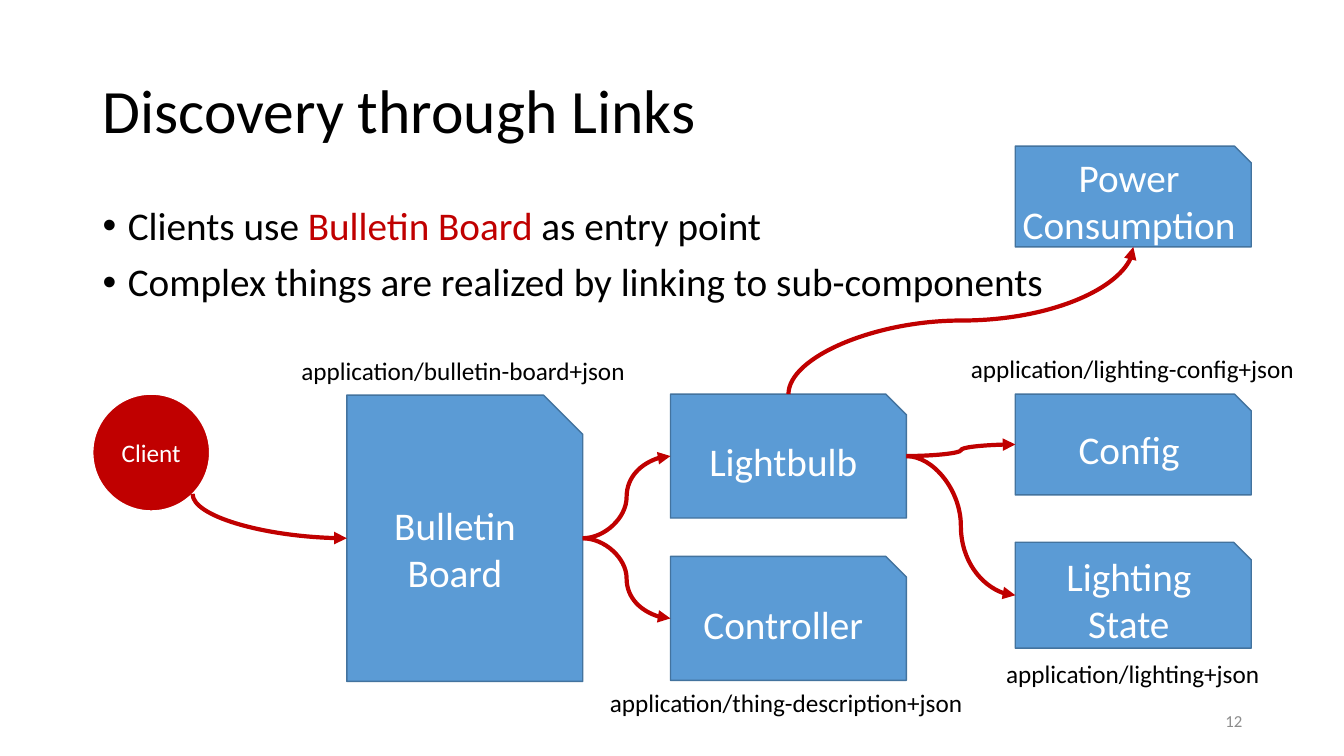
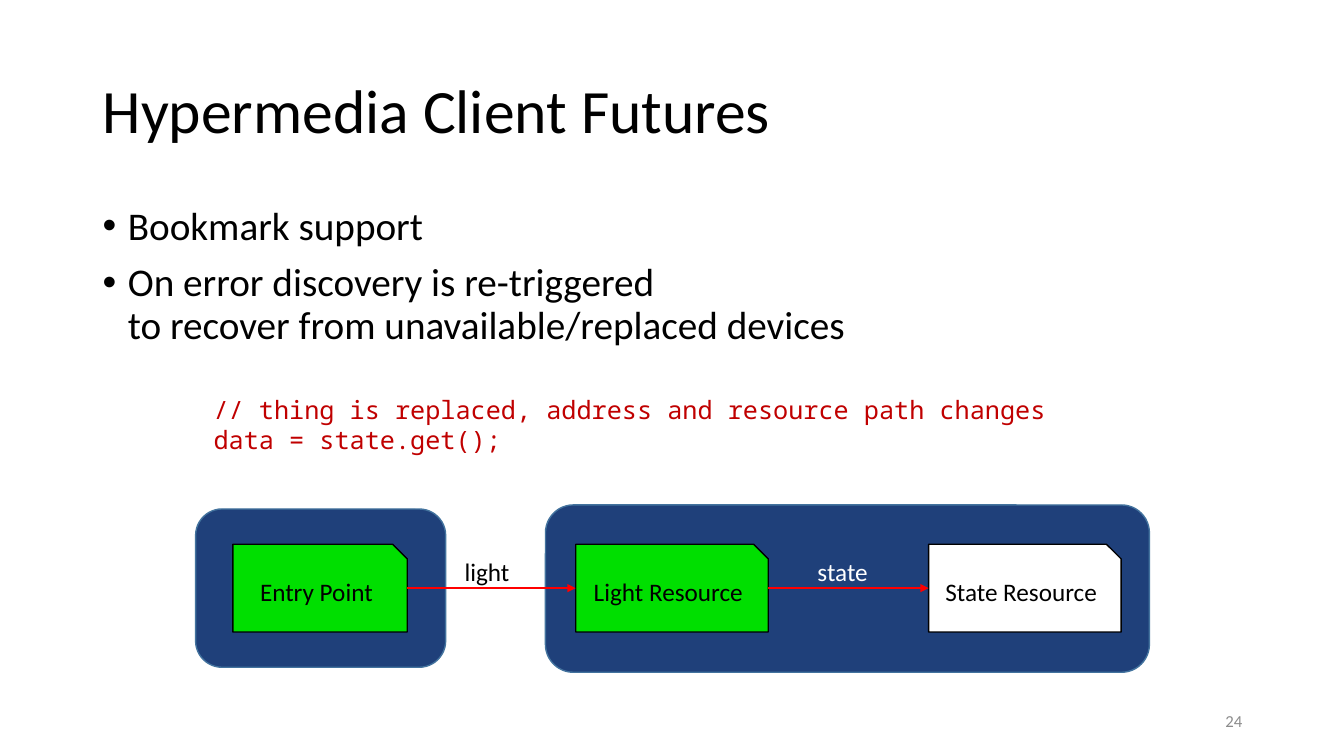
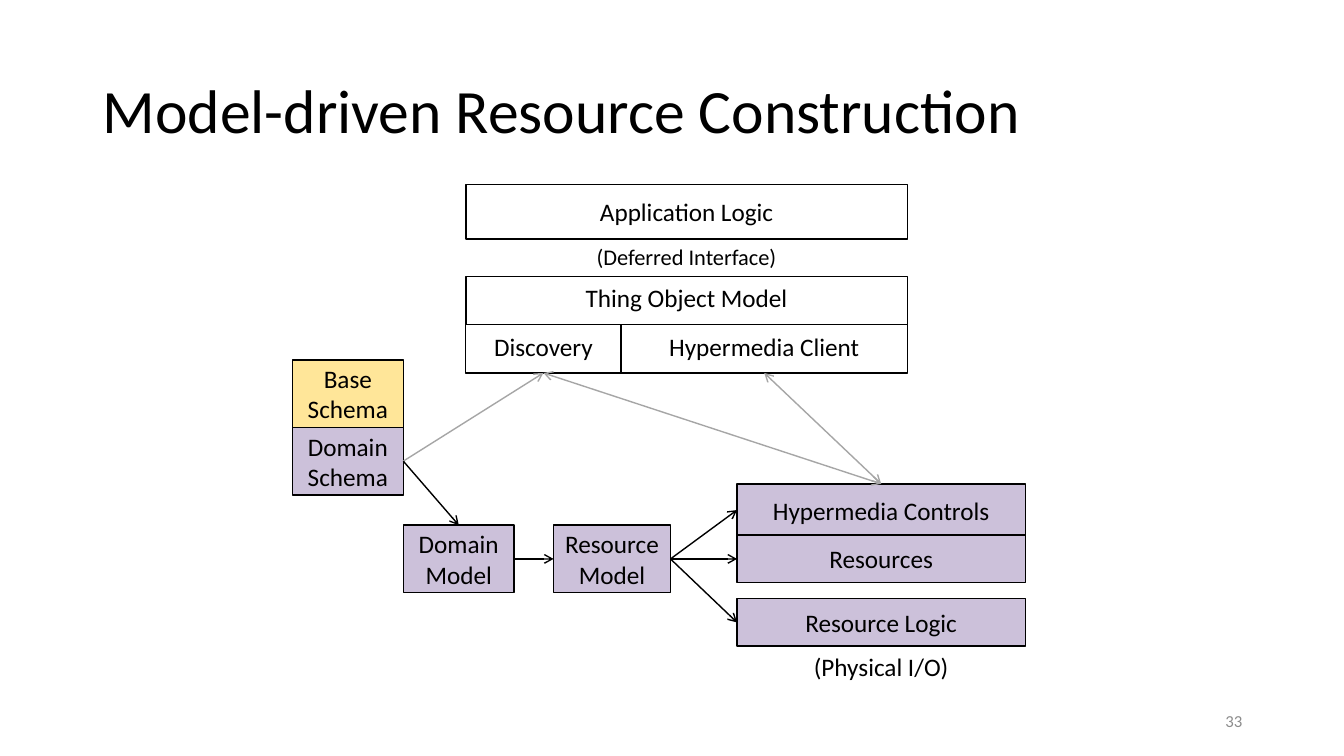
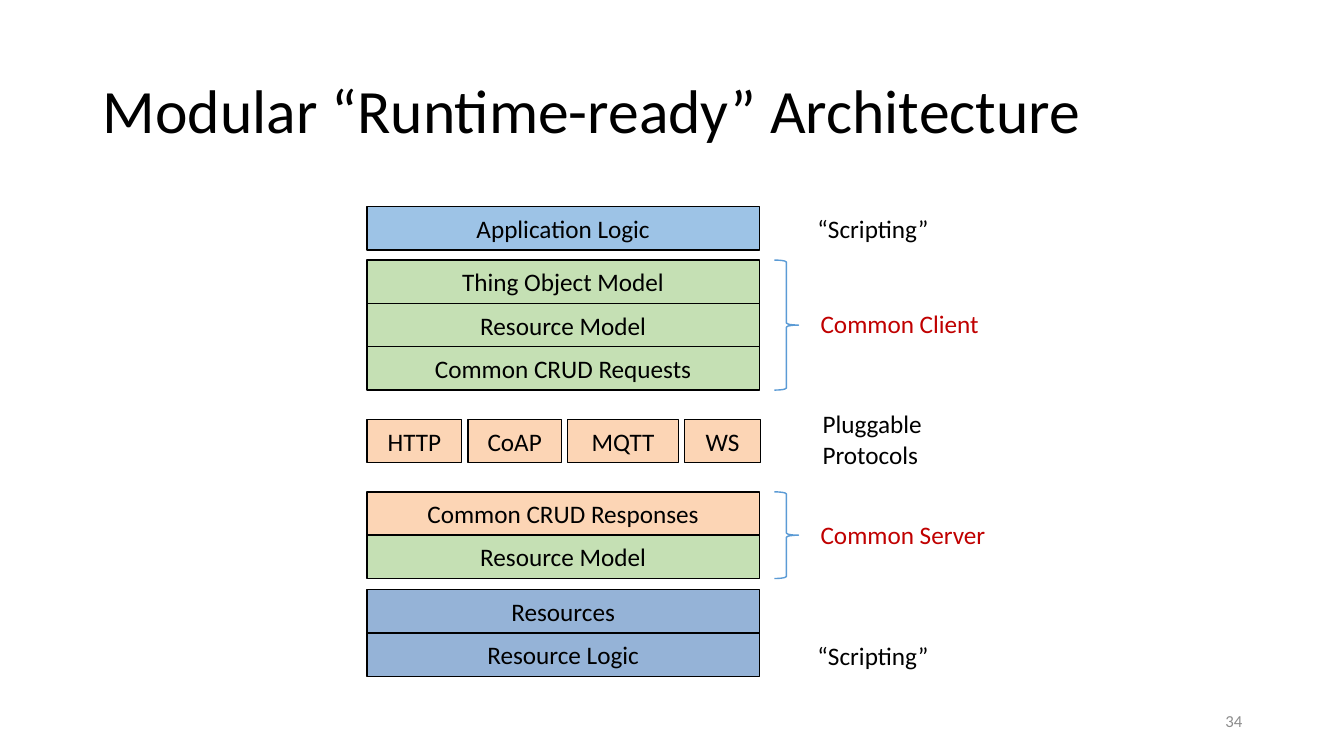
import math

import lxml.etree
import pptx
import pptx.util
import pptx.dml.color
import pptx.enum.shapes
import pptx.enum.text
import pptx.oxml.ns

Inches, Pt = pptx.util.Inches, pptx.util.Pt
SHAPE = pptx.enum.shapes.MSO_SHAPE
CONNECTOR = pptx.enum.shapes.MSO_CONNECTOR
ALIGN = pptx.enum.text.PP_ALIGN
ANCHOR = pptx.enum.text.MSO_ANCHOR
qn = pptx.oxml.ns.qn

# Shared look
SLIDE_W, SLIDE_H = 13.33, 7.5
FONT, CODE_FONT = "Calibri", "Noto Sans Mono"
BLACK, WHITE, GREY, MUTED = "000000", "FFFFFF", "A6A6A6", "8C8C8C"
CRIMSON, RED, BLUE, BLUE_EDGE = "C00000", "FF0000", "5B9BD5", "43739E"
NAVY, LIME, YELLOW, LILAC = "1F407A", "00DF00", "FFE699", "CCC1DA"
SKY, GREEN, PEACH, STEEL = "9DC3E6", "C5E0B4", "FCD5B5", "95B3D7"
TITLE_BOX = (0.92, 0.4, 11.5, 1.45)
BODY_BOX = (0.92, 2, 11.5, 4.76)
NUMBER_BOX = (9.42, 6.95, 3, 0.4)
TOP, LEFT, BOTTOM, RIGHT = range(4)

# Slide 1: a paragraph is a list of (text, colour) runs
LINK_BULLETS = [
    [("Clients use ", BLACK), ("Bulletin Board", CRIMSON), (" as entry point", BLACK)],
    [("Complex things are realized by linking to sub-components", BLACK)],
]
CARD_W = 2.34
COL_BOARD, COL_THING, COL_PART = 3.44, 6.65, 10.07
CARDS = [  # name, left, top, height
    ("Bulletin Board", COL_BOARD, 3.92, 2.84),
    ("Lightbulb", COL_THING, 3.91, 1.23),
    ("Controller", COL_THING, 5.52, 1.23),
    ("Config", COL_PART, 3.91, 1),
    ("Lighting State", COL_PART, 5.38, 1.05),
    ("Power Consumption", COL_PART, 1.45, 1),
]
CARD_LINKS = [
    ("Bulletin Board", "Lightbulb"), ("Bulletin Board", "Controller"),
    ("Lightbulb", "Config"), ("Lightbulb", "Lighting State"),
]
MEDIA_TYPES = [  # text, left, top, width
    ("application/bulletin-board+json", 2.89, 3.48, 3.45),
    ("application/thing-description+json", 5.95, 6.77, 3.74),
    ("application/lighting-config+json", 9.53, 3.46, 3.45),
    ("application/lighting+json", 9.88, 6.48, 2.75),
]
CLIENT = (0.92, 3.91, 1.16)  # left, top, diameter

# Slide 2
FUTURE_BULLETS = [
    "Bookmark support",
    "On error discovery is re-triggered\nto recover from unavailable/replaced devices",
]
CODE = ["// thing is replaced, address and resource path changes", "data = state.get();"]
DEVICES = [(1.94, 5.05, 2.48, 1.57), (5.41, 5.01, 5.99, 1.66)]
RESOURCES = [  # name, left, width, fill
    ("Entry Point", 2.31, 1.73, LIME),
    ("Light Resource", 5.71, 1.91, LIME),
    ("State Resource", 9.21, 1.91, WHITE),
]
RELATIONS = [("light", 4.51, 0.66, BLACK), ("state", 8.01, 0.7, WHITE)]

# Slide 3
BLOCKS = [  # name, box, fill, top inset
    ("Application Logic", (4.62, 1.83, 4.38, 0.54), None, 0.05),
    ("Thing Object Model", (4.62, 2.74, 4.38, 0.48), None, 0),
    ("Discovery", (4.62, 3.22, 1.54, 0.48), None, 0),
    ("Hypermedia Client", (6.16, 3.22, 2.84, 0.48), None, 0),
    ("Base Schema", (2.9, 3.57, 1.1, 0.67), YELLOW, 0.05),
    ("Domain Schema", (2.9, 4.24, 1.1, 0.67), LILAC, 0.05),
    ("Domain Model", (4, 5.21, 1.1, 0.67), LILAC, 0.05),
    ("Resource Model", (5.49, 5.21, 1.16, 0.67), LILAC, 0.05),
    ("Hypermedia Controls", (7.31, 4.8, 2.86, 0.52), LILAC, 0.05),
    ("Resources", (7.31, 5.31, 2.86, 0.47), LILAC, 0.05),
    ("Resource Logic", (7.31, 5.94, 2.86, 0.47), LILAC, 0.05),
]
BLOCK_LINKS = [  # from, side, to, side, colour, both ends
    ("Domain Schema", RIGHT, "Discovery", BOTTOM, GREY, False),
    ("Discovery", BOTTOM, "Hypermedia Controls", TOP, GREY, True),
    ("Hypermedia Client", BOTTOM, "Hypermedia Controls", TOP, GREY, True),
    ("Domain Schema", RIGHT, "Domain Model", TOP, BLACK, False),
    ("Domain Model", RIGHT, "Resource Model", LEFT, BLACK, False),
    ("Resource Model", RIGHT, "Hypermedia Controls", LEFT, BLACK, False),
    ("Resource Model", RIGHT, "Resources", LEFT, BLACK, False),
    ("Resource Model", RIGHT, "Resource Logic", LEFT, BLACK, False),
]

# Slide 4
STACK_X, STACK_Y, STACK_W, ROW_H = 3.64, 2.05, 3.89, 0.43
PROTOCOL_GAP = 0.06
PROTOCOLS = [("HTTP", 0.94), ("CoAP", 0.93), ("MQTT", 1.1), ("WS", 0.75)]
LAYERS = [  # gap above, rows of (name, fill), has a brace
    (0, [("Application Logic", SKY)], False),
    (0.1, [("Thing Object Model", GREEN), ("Resource Model", GREEN),
           ("Common CRUD Requests", GREEN)], True),
    (0.29, [(PROTOCOLS, PEACH)], False),
    (0.29, [("Common CRUD Responses", PEACH), ("Resource Model", GREEN)], True),
    (0.11, [("Resources", STEEL), ("Resource Logic", STEEL)], False),
]
REMARKS = [  # text, left, middle, width, height, colour
    ("“Scripting”", 8.01, 2.27, 1.76, 0.4, BLACK),
    ("Common Client", 8.04, 3.21, 1.79, 0.4, CRIMSON),
    ("Pluggable Protocols", 8.06, 4.36, 1.28, 0.71, BLACK),
    ("Common Server", 8.04, 5.3, 1.85, 0.4, CRIMSON),
    ("“Scripting”", 8.01, 6.5, 1.76, 0.4, BLACK),
]


def rgb(color):
    return pptx.dml.color.RGBColor.from_string(color)


def inches(box):
    return [Inches(v) for v in box]


def write(sp, paras, size, color=BLACK, align=ALIGN.LEFT, font=FONT):
    """Fill a shape's text; each paragraph is a string or a list of (text, colour)."""
    tf = sp.text_frame
    for i, para in enumerate(paras):
        p = tf.paragraphs[0] if i == 0 else tf.add_paragraph()
        p.alignment = align
        for text, run_color in [(para, color)] if isinstance(para, str) else para:
            for j, line in enumerate(text.split("\n")):
                if j:
                    p.add_line_break()
                r = p.add_run()
                r.text = line
                r.font.name, r.font.size = font, Pt(size)
                r.font.color.rgb = rgb(run_color)
    return tf


def add_label(s, paras, box, size=18, wrap=True, anchor=ANCHOR.TOP, **style):
    sp = s.shapes.add_textbox(*inches(box))
    tf = write(sp, paras, size, **style)
    tf.word_wrap, tf.vertical_anchor = wrap, anchor
    return tf


def add_box(s, kind, box, fill, edge, text=None, size=18, color=BLACK, side=0.1, top=0.05):
    sp = s.shapes.add_shape(kind, *inches(box))
    sp.shadow.inherit = False
    if fill:
        sp.fill.solid()
        sp.fill.fore_color.rgb = rgb(fill)
    else:
        sp.fill.background()
    sp.line.color.rgb, sp.line.width = rgb(edge), Pt(1)
    if text:
        tf = write(sp, [text], size, color, ALIGN.CENTER)
        tf.word_wrap, tf.vertical_anchor = True, ANCHOR.MIDDLE
        tf.margin_left = tf.margin_right = Inches(side)
        tf.margin_top = Inches(top)
    return sp


def add_arrow(s, kind, ends, color, width, tip, both=False):
    c = s.shapes.add_connector(kind, *inches(ends))
    c.line.color.rgb, c.line.width = rgb(color), Pt(width)
    spPr = c.element.spPr
    for tag in ["a:headEnd", "a:tailEnd"] if both else ["a:tailEnd"]:
        lxml.etree.SubElement(spPr.find(qn("a:ln")), qn(tag), type=tip)
    lxml.etree.SubElement(spPr, qn("a:effectLst"))
    return c


def join(s, kind, a, a_side, b, b_side, color, width, tip, both=False):
    c = add_arrow(s, kind, (0, 0, 1, 1), color, width, tip, both)
    c.begin_connect(a, a_side)
    c.end_connect(b, b_side)


def add_rising_curve(s, start, end, preset):
    """Curve that leaves start vertically: a horizontal one turned by 270 degrees."""
    (x1, y1), (x2, y2) = start, end
    mid_x, mid_y = (x1 + x2) / 2, (y1 + y2) / 2
    half_w, half_h = (y2 - y1) / 2, (x2 - x1) / 2
    ends = (mid_x + half_w, mid_y - half_h, mid_x - half_w, mid_y + half_h)
    c = add_arrow(s, CONNECTOR.CURVE, ends, CRIMSON, 3, "triangle")
    spPr = c.element.spPr
    spPr.find(qn("a:xfrm")).set("rot", str(270 * 60000))
    spPr.find(qn("a:prstGeom")).set("prst", preset)


def add_bullets(s, paras):
    tf = add_label(s, paras, BODY_BOX, 28)
    for p in tf.paragraphs:
        p.line_spacing, p.space_before = 0.9, Pt(10)
        pPr = p._p.get_or_add_pPr()
        pPr.set("marL", str(Inches(0.25)))
        pPr.set("indent", str(-Inches(0.25)))
        lxml.etree.SubElement(pPr, qn("a:buFont"), typeface="Arial")
        lxml.etree.SubElement(pPr, qn("a:buChar"), char="•")


def add_slide(prs, title, number):
    s = prs.slides.add_slide(prs.slide_layouts[6])
    tf = add_label(s, [title], TITLE_BOX, 44, anchor=ANCHOR.MIDDLE)
    tf.paragraphs[0].line_spacing = 0.9
    add_label(s, [str(number)], NUMBER_BOX, 12, anchor=ANCHOR.MIDDLE,
              color=MUTED, align=ALIGN.RIGHT)
    return s


def discovery_slide(prs):
    s = add_slide(prs, "Discovery through Links", 12)
    add_bullets(s, LINK_BULLETS)
    cards = {}
    for name, x, y, h in CARDS:
        side = 0.04 if name == "Power Consumption" else 0.1
        cards[name] = add_box(s, SHAPE.SNIP_1_RECTANGLE, (x, y, CARD_W, h), BLUE, BLUE_EDGE,
                              name, 28, WHITE, side)
    x, y, d = CLIENT
    add_box(s, SHAPE.OVAL, (x, y, d, d), CRIMSON, WHITE, "Client", 18, WHITE)
    for a, b in CARD_LINKS:
        join(s, CONNECTOR.CURVE, cards[a], RIGHT, cards[b], LEFT, CRIMSON, 3, "triangle")
    reach = d / 2 * (1 + math.sqrt(0.5))
    boxes = {name: (left, top, h) for name, left, top, h in CARDS}
    board, bulb, power = (boxes[n] for n in ("Bulletin Board", "Lightbulb", "Power Consumption"))
    add_rising_curve(s, (x + reach, y + reach), (board[0], board[1] + board[2] / 2),
                     "curvedConnector2")
    add_rising_curve(s, (bulb[0] + CARD_W / 2, bulb[1]),
                     (power[0] + CARD_W / 2, power[1] + power[2]), "curvedConnector3")
    for text, left, top, w in MEDIA_TYPES:
        add_label(s, [text], (left, top, w, 0.4), wrap=False)


def futures_slide(prs):
    s = add_slide(prs, "Hypermedia Client Futures", 24)
    add_bullets(s, FUTURE_BULLETS)
    add_label(s, CODE, (2.02, 3.86, 9.29, 1.01), color=CRIMSON, font=CODE_FONT)
    for box in DEVICES:
        add_box(s, SHAPE.ROUNDED_RECTANGLE, box, NAVY, BLUE_EDGE)
    cards = [add_box(s, SHAPE.SNIP_1_RECTANGLE, (x, 5.4, w, 0.87), fill, BLACK, name)
             for name, x, w, fill in RESOURCES]
    for a, b in zip(cards, cards[1:]):
        join(s, CONNECTOR.STRAIGHT, a, RIGHT, b, LEFT, RED, 1.5, "triangle")
    for text, x, w, color in RELATIONS:
        add_label(s, [text], (x, 5.47, w, 0.4), wrap=False, color=color)


def construction_slide(prs):
    s = add_slide(prs, "Model-driven Resource Construction", 33)
    blocks = {name: add_box(s, SHAPE.RECTANGLE, box, fill, BLACK, name, top=top)
              for name, box, fill, top in BLOCKS}
    for a, a_side, b, b_side, color, both in BLOCK_LINKS:
        join(s, CONNECTOR.STRAIGHT, blocks[a], a_side, blocks[b], b_side,
             color, 1, "arrow", both)
    add_label(s, ["(Deferred Interface)"], (5.51, 2.36, 2.6, 0.37), 16, align=ALIGN.CENTER)
    add_label(s, ["(Physical I/O)"], (7.96, 6.41, 1.56, 0.4), wrap=False, align=ALIGN.CENTER)


def architecture_slide(prs):
    s = add_slide(prs, "Modular “Runtime-ready” Architecture", 34)
    y = STACK_Y
    for gap, rows, braced in LAYERS:
        y += gap
        if braced:
            add_box(s, SHAPE.RIGHT_BRACE, (7.68, y, 0.24, ROW_H * len(rows)), None, BLUE)
        for cells, fill in rows:
            x = STACK_X
            for name, w in [(cells, STACK_W)] if isinstance(cells, str) else cells:
                add_box(s, SHAPE.RECTANGLE, (x, y, w, ROW_H), fill, BLACK, name)
                x += w + PROTOCOL_GAP
            y += ROW_H
    for text, x, middle, w, h, color in REMARKS:
        add_label(s, [text], (x, middle - h / 2, w, h), color=color)


def main():
    prs = pptx.Presentation()
    prs.slide_width, prs.slide_height = Inches(SLIDE_W), Inches(SLIDE_H)
    for build in (discovery_slide, futures_slide, construction_slide, architecture_slide):
        build(prs)
    prs.save("out.pptx")


if __name__ == "__main__":
    main()
